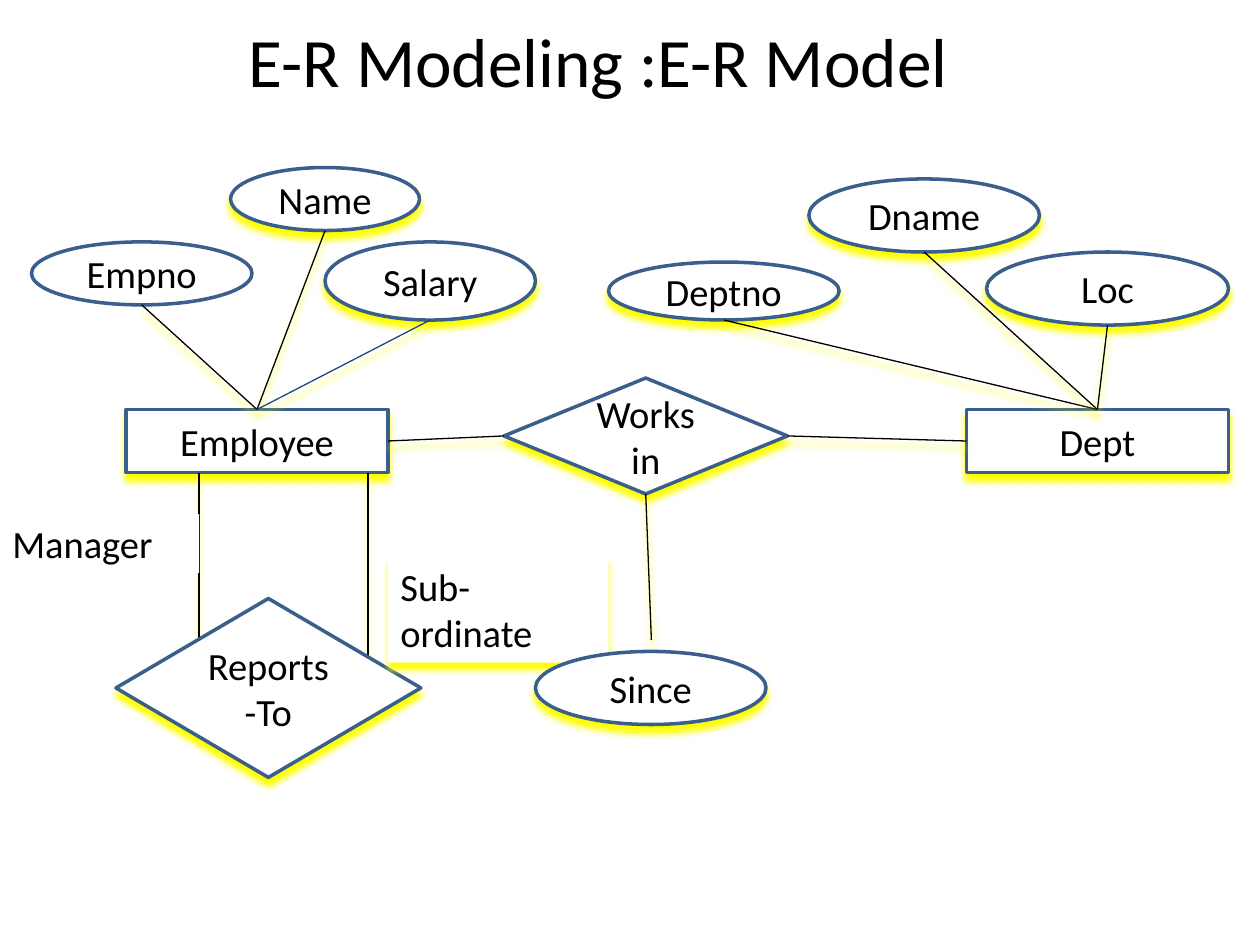
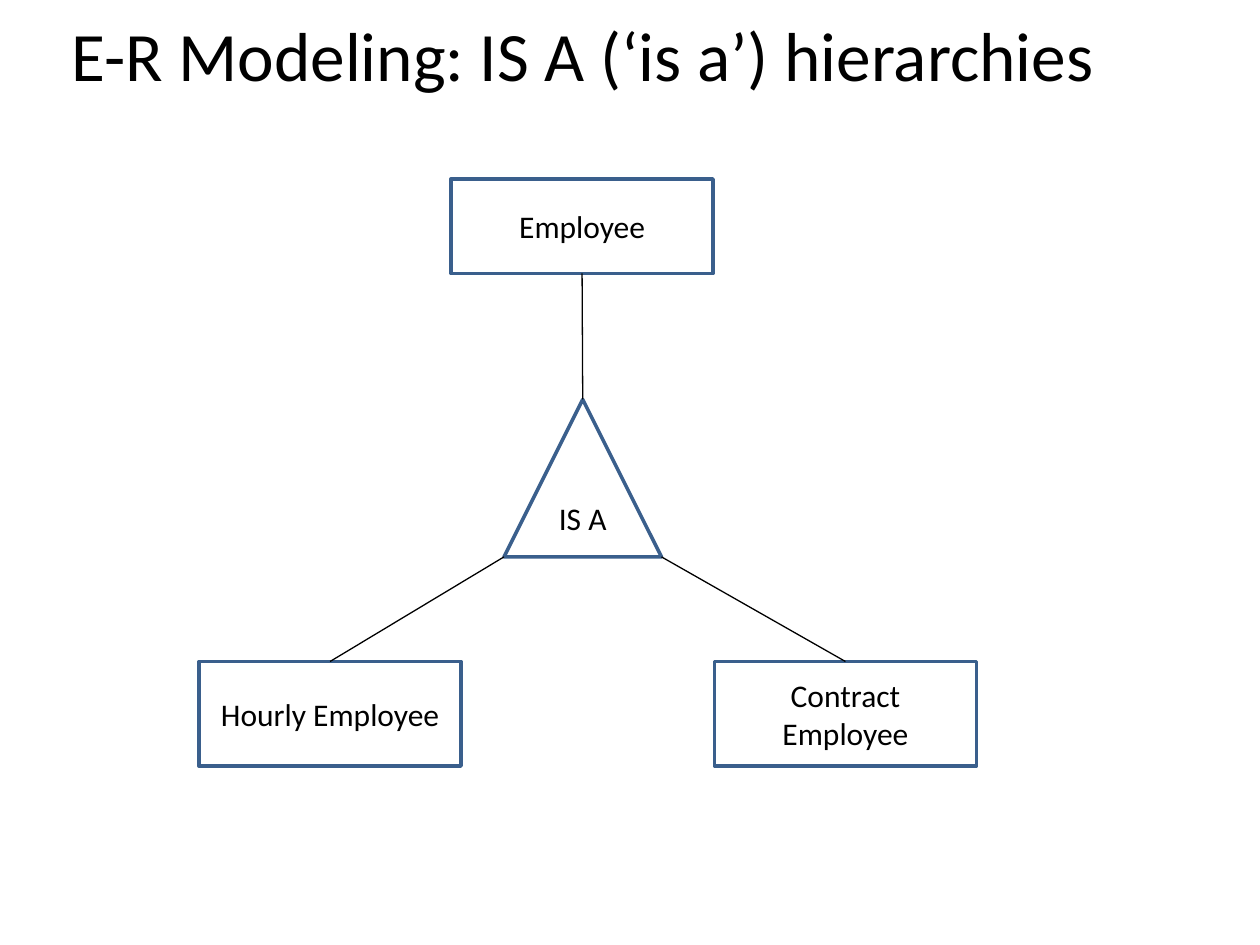
import pptx
import pptx.dml.color
import pptx.enum.shapes
import pptx.enum.text
import pptx.oxml
import pptx.oxml.ns
import pptx.util
from lxml import etree

Inches = pptx.util.Inches
Shapes = pptx.enum.shapes.MSO_SHAPE
Align = pptx.enum.text.PP_ALIGN
Anchor = pptx.enum.text.MSO_ANCHOR

COLORS = {
    "paper": "FFFFFF",
    "ink": "000000",
    "outline": "3A5F8C",
    "navy": "1F497D",
    "glow": "FFFF00",
}
TOP, BOTTOM, LEFT, RIGHT = (0.5, 0), (0.5, 1), (0, 0.5), (1, 0.5)
BOTTOM_LEFT, BOTTOM_RIGHT = (0, 1), (1, 1)


def color(name):
    return pptx.dml.color.RGBColor.from_string(COLORS[name])


def site(box, place):
    left, top, width, height = box
    return left + width * place[0], top + height * place[1]


class Diagram:
    font = "Calibri"
    title_size = 39.6

    def __init__(self, presentation):
        self.presentation = presentation

    def start(self, title, box, label_size, glow):
        self.slide = self.presentation.slides.add_slide(self.presentation.slide_layouts[6])
        self.label_size = label_size
        self.glow = glow
        shape = self.slide.shapes.add_textbox(*map(Inches, box))
        self.add_text(shape, title, self.title_size)

    def add_text(self, shape, text, size, align=Align.CENTER, anchor=Anchor.MIDDLE):
        frame = shape.text_frame
        frame.word_wrap = True
        frame.vertical_anchor = anchor
        paragraph = frame.paragraphs[0]
        paragraph.alignment = align
        run = paragraph.add_run()
        run.text = text
        run.font.name = self.font
        run.font.size = pptx.util.Pt(size)
        run.font.color.rgb = color("ink")

    def add_glow(self, effects):
        shadow = etree.SubElement(
            effects, pptx.oxml.ns.qn("a:outerShdw"),
            blurRad=str(pptx.util.Pt(4)), dist=str(pptx.util.Pt(4)),
            dir="5400000", algn="t", rotWithShape="0")
        etree.SubElement(shadow, pptx.oxml.ns.qn("a:srgbClr"), val=COLORS["glow"])

    def fill(self, shape, glow):
        shape.fill.solid()
        shape.fill.fore_color.rgb = color("paper")
        shape.shadow.inherit = False
        if glow:
            self.add_glow(shape._element.spPr.find(pptx.oxml.ns.qn("a:effectLst")))

    def node(self, kind, text, box, glow=None):
        shape = self.slide.shapes.add_shape(kind, *map(Inches, box))
        shape.line.color.rgb = color("outline")
        shape.line.width = pptx.util.Pt(2)
        self.fill(shape, self.glow if glow is None else glow)
        self.add_text(shape, text, self.label_size)

    def label(self, text, box, glow):
        shape = self.slide.shapes.add_textbox(*map(Inches, box))
        self.fill(shape, glow)
        self.add_text(shape, text, self.label_size, Align.LEFT, Anchor.TOP)

    def link(self, start, end, ink="ink"):
        connector = self.slide.shapes.add_connector(
            pptx.enum.shapes.MSO_CONNECTOR.STRAIGHT, *map(Inches, (*start, *end)))
        connector.line.color.rgb = color(ink)
        connector.line.width = pptx.util.Pt(0.75)
        effects = etree.SubElement(connector._element.spPr, pptx.oxml.ns.qn("a:effectLst"))
        if self.glow:
            self.add_glow(effects)


def build_model(diagram):
    diagram.start("E-R Modeling :E-R Model", (0.25, 0.17, 9, 0.61), 22, True)
    employee = (1, 3.25, 2.08, 0.5)
    department = (7.67, 3.25, 2.08, 0.5)
    works_in = (4, 3, 2.25, 0.92)

    diagram.node(Shapes.RECTANGLE, "Employee", employee)
    for x, end in ((2.92, 5.25), (1.58, 5.33)):
        diagram.link((x, 3.75), (x, end))
    diagram.node(Shapes.FLOWCHART_DECISION, "Reports-To", (0.92, 4.75, 2.42, 1.42))
    diagram.node(Shapes.FLOWCHART_DECISION, "Works in", works_in)
    diagram.link(site(employee, RIGHT), site(works_in, LEFT))
    diagram.node(Shapes.RECTANGLE, "Dept", department)
    diagram.link(site(works_in, RIGHT), site(department, LEFT))

    attributes = [
        ("Empno", (0.25, 1.92, 1.75, 0.5), employee, "ink", False),
        ("Name", (1.83, 1.33, 1.5, 0.5), employee, "ink", True),
        ("Salary", (2.58, 1.92, 1.67, 0.62), employee, "navy", True),
        ("Deptno", (4.83, 2.08, 1.83, 0.46), department, "ink", True),
        ("Dname", (6.42, 1.42, 1.83, 0.58), department, "ink", True),
        ("Loc", (7.83, 2, 1.92, 0.58), department, "ink", True),
    ]
    for name, box, entity, ink, glow in attributes:
        diagram.node(Shapes.OVAL, name, box, glow)
    for name, box, entity, ink, glow in attributes:
        diagram.link(site(box, BOTTOM), site(entity, TOP), ink)

    diagram.label("Sub-ordinate", (3.08, 4.42, 1.75, 0.84), True)
    diagram.label("Manager", (0, 4.08, 1.58, 0.47), False)
    diagram.link(site(works_in, BOTTOM), (5.17, 5.08))
    diagram.node(Shapes.OVAL, "Since", (4.25, 5.17, 1.83, 0.58))


def build_hierarchy(diagram):
    diagram.start("E-R Modeling: IS A (‘is a’) hierarchies", (0.25, 0.12, 8.75, 0.61), 18, False)
    employee = (3.58, 1.42, 2.08, 0.75)
    is_a = (4, 3.17, 1.25, 1.25)
    hourly = (1.58, 5.25, 2.08, 0.83)
    contract = (5.67, 5.25, 2.08, 0.83)

    diagram.node(Shapes.RECTANGLE, "Employee", employee)
    diagram.node(Shapes.RECTANGLE, "Hourly Employee", hourly)
    diagram.node(Shapes.RECTANGLE, "Contract Employee", contract)
    diagram.node(Shapes.ISOSCELES_TRIANGLE, "IS A", is_a)
    diagram.link(site(employee, BOTTOM), site(is_a, TOP))
    diagram.link(site(is_a, BOTTOM_RIGHT), site(contract, TOP))
    diagram.link(site(is_a, BOTTOM_LEFT), site(hourly, TOP))


def main():
    presentation = pptx.Presentation()
    presentation.slide_width = Inches(10)
    presentation.slide_height = Inches(7.5)
    diagram = Diagram(presentation)
    build_model(diagram)
    build_hierarchy(diagram)
    presentation.save("out.pptx")


if __name__ == "__main__":
    main()
